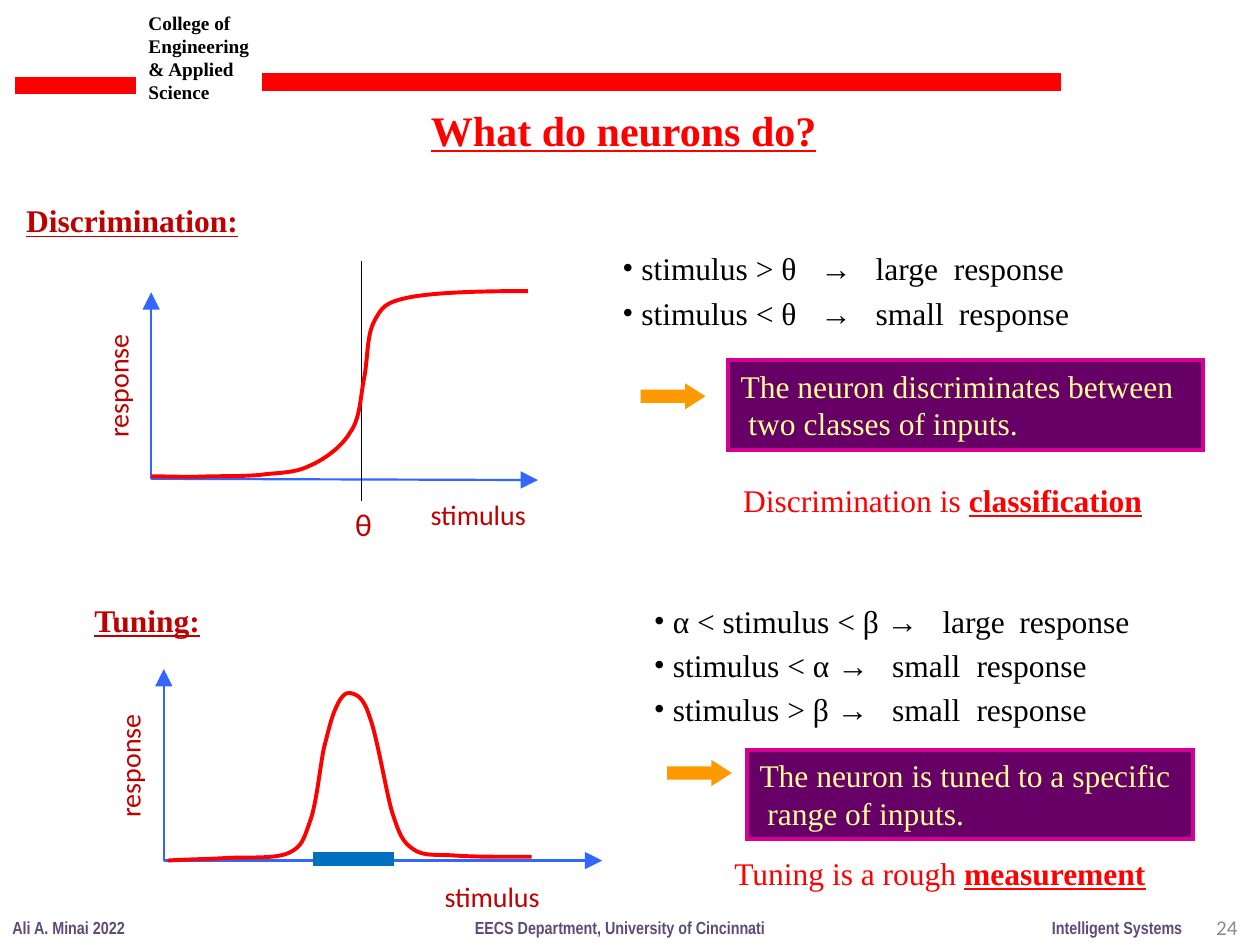
"""Build the slide that explains what neurons do: discrimination and tuning."""
from lxml.etree import SubElement
from pptx import Presentation
from pptx.dml.color import RGBColor
from pptx.enum.shapes import MSO_CONNECTOR, MSO_SHAPE
from pptx.enum.text import MSO_ANCHOR, MSO_AUTO_SIZE, PP_ALIGN
from pptx.oxml.ns import qn
from pptx.util import Inches, Pt

RED = RGBColor(0xFF, 0x00, 0x00)
DARK_RED = RGBColor(0xC0, 0x00, 0x00)
BLACK = RGBColor(0x00, 0x00, 0x00)
VIOLET = RGBColor(0x60, 0x4A, 0x7B)
GRAY = RGBColor(0x8C, 0x8C, 0x8C)
AXIS_BLUE = RGBColor(0x33, 0x66, 0xFF)
NAVY = RGBColor(0x00, 0x00, 0x36)
BAND_BLUE = RGBColor(0x00, 0x70, 0xC0)
PURPLE = RGBColor(0x66, 0x00, 0x66)
MAGENTA = RGBColor(0xD6, 0x00, 0x93)
PALE_YELLOW = RGBColor(0xFF, 0xFF, 0x99)
ORANGE = RGBColor(0xFF, 0x99, 0x00)
SERIF, SANS, NARROW = "Times New Roman", "Calibri", "Arial Narrow"


def write_text(shape, lines, size, font, color, strong=(), wrap=False):
    """Fill a shape with paragraphs of runs; runs whose text is in strong are bold."""
    frame = shape.text_frame
    frame.auto_size = MSO_AUTO_SIZE.NONE
    frame.word_wrap = wrap
    frame.vertical_anchor = MSO_ANCHOR.TOP
    for index, line in enumerate(lines):
        paragraph = frame.paragraphs[0] if index == 0 else frame.add_paragraph()
        paragraph.alignment = PP_ALIGN.LEFT
        for text in line:
            run = paragraph.add_run()
            run.text = text
            run.font.size = Pt(size)
            run.font.name = font
            run.font.color.rgb = color
            run.font.bold = text in strong
    return frame


def add_line(shapes, start, end, color, width, arrow=False):
    """Draw a straight line, with an arrowhead at its end if wanted."""
    points = [Inches(value) for value in (*start, *end)]
    connector = shapes.add_connector(MSO_CONNECTOR.STRAIGHT, *points)
    connector.line.color.rgb = color
    connector.line.width = Pt(width)
    if arrow:
        SubElement(connector.line._get_or_add_ln(), qn("a:tailEnd"),
                   type="triangle", w="lg", len="lg")
    SubElement(connector._element.spPr, qn("a:effectLst"))


presentation = Presentation()
presentation.slide_width, presentation.slide_height = Inches(10), Inches(7.5)
slide = presentation.slides.add_slide(presentation.slide_layouts[3])
title, *lists = slide.placeholders

add_line(slide.shapes, (0.12, 0.68), (1.08, 0.68), RED, 10)
add_line(slide.shapes, (2.08, 0.65), (8.42, 0.65), RED, 10)

title.left, title.top = Inches(3.32), Inches(0.78)
title.width, title.height = Inches(3.29), Inches(0.5)
heading = "What do neurons do?"
frame = write_text(title, [[heading]], 24, SERIF, RED, [heading])
frame.paragraphs[0].runs[0].font.underline = True

labels = [
    ((1.08, 0.04, 1.09, 0.84), ["College of Engineering & Applied", "Science"],
     11, SERIF, BLACK, True),
    ((0, 7.23, 1.1, 0.27), ["Ali A. Minai 2022"], 10, NARROW, VIOLET, False),
    ((8.25, 7.23, 1.24, 0.27), ["Intelligent Systems"], 10, NARROW, VIOLET, False),
    ((3.67, 7.23, 2.52, 0.27), ["EECS Department, University of Cincinnati"],
     10, NARROW, VIOLET, False),
]
for box, texts, size, font, color, wrap in labels:
    label = slide.shapes.add_textbox(*map(Inches, box))
    write_text(label, [[text] for text in texts], size, font, color, texts, wrap)

number = slide.shapes.add_textbox(Inches(7.59), Inches(7.16), Inches(2.33), Inches(0.4))
frame = write_text(number, [["24"]], 12, SANS, GRAY)
frame.vertical_anchor = MSO_ANCHOR.MIDDLE
frame.paragraphs[0].alignment = PP_ALIGN.RIGHT

headings = [
    ((0.11, 1.55, 1.88, 0.4), ["Discrimination:"]),
    ((0.65, 4.72, 1.06, 0.4), ["Tuning:"]),
]
conclusions = [
    ((5.8, 3.77, 3.37, 0.4), ["Discrimination is ", "classification"]),
    ((5.73, 6.73, 3.48, 0.4), ["Tuning is a rough ", "measurement"]),
]
for group, color in ((headings, DARK_RED), (conclusions, RED)):
    for box, runs in group:
        statement = slide.shapes.add_textbox(*map(Inches, box))
        frame = write_text(statement, [runs], 18, SERIF, color, runs[-1:])
        frame.paragraphs[0].runs[-1].font.underline = True

bullets = [
    ((4.84, 1.93, 3.76, 0.76), [
        (" stimulus > θ\t→\tlarge\tresponse", (1.57, 2.01, 2.63)),
        (" stimulus < θ\t→\tsmall\tresponse", (1.57, 2.01, 2.67)),
    ]),
    ((5.09, 4.73, 4.02, 1.12), [
        (" α < stimulus < β →\tlarge\tresponse", (2.29, 2.9)),
        (" stimulus < α →\tsmall\tresponse", (1.89, 2.56)),
        (" stimulus > β →\tsmall\tresponse", (1.89, 2.56)),
    ]),
]
for placeholder, (box, items) in zip(lists, bullets):
    placeholder.left, placeholder.top, placeholder.width, placeholder.height = map(Inches, box)
    frame = write_text(placeholder, [[text] for text, stops in items],
                       18, SERIF, BLACK, wrap=True)
    for index, (paragraph, (text, stops)) in enumerate(zip(frame.paragraphs, items)):
        properties = paragraph._p.get_or_add_pPr()
        properties.set("marL", "0")
        properties.set("indent", "0")
        SubElement(properties, qn("a:buFont"), typeface=SERIF)
        SubElement(properties, qn("a:buChar"), char="•")
        tabs = SubElement(properties, qn("a:tabLst"))
        for stop in stops:
            SubElement(tabs, qn("a:tab"), pos=str(Inches(stop)), algn="l")
        paragraph.space_before = Pt(3.6 if index else 0)

threshold_curve = [
    (1.2, 3.78), (1.28, 3.78), (1.52, 3.79), (1.67, 3.78), (1.81, 3.78), (1.93, 3.78),
    (2.06, 3.77), (2.19, 3.75), (2.33, 3.76), (2.45, 3.7), (2.57, 3.65), (2.71, 3.55),
    (2.78, 3.43), (2.86, 3.32), (2.86, 3.15), (2.89, 3), (2.92, 2.85), (2.91, 2.66),
    (2.97, 2.55), (3.03, 2.44), (3.05, 2.4), (3.25, 2.36), (3.46, 2.32), (3.82, 2.31),
    (4.19, 2.31),
]
tuning_curve = [
    (1.33, 6.83), (1.48, 6.82), (1.63, 6.82), (1.79, 6.81), (1.95, 6.8), (2.18, 6.82),
    (2.29, 6.77), (2.4, 6.72), (2.41, 6.66), (2.46, 6.52), (2.51, 6.39), (2.54, 6.09),
    (2.57, 5.94), (2.61, 5.79), (2.63, 5.69), (2.67, 5.61), (2.7, 5.54), (2.74, 5.49),
    (2.78, 5.5), (2.82, 5.51), (2.88, 5.52), (2.93, 5.68), (2.99, 5.83), (3.06, 6.26),
    (3.11, 6.44), (3.17, 6.62), (3.19, 6.68), (3.28, 6.74), (3.36, 6.8), (3.48, 6.78),
    (3.61, 6.79), (3.74, 6.8), (3.93, 6.8), (4.03, 6.8), (4.14, 6.8), (4.18, 6.8),
    (4.22, 6.8),
]
graphs = [
    ([((1.2, 3.8), (1.2, 2.32), AXIS_BLUE, 1.25, True),
      ((1.2, 3.8), (4.27, 3.81), AXIS_BLUE, 1.25, True),
      ((2.87, 2.07), (2.87, 3.98), NAVY, 1, False)],
     threshold_curve,
     [("response", (0.52, 2.97, 0.83, 0.37), 16, -90),
      ("stimulus", (3.32, 3.9, 0.96, 0.29), 16, 0),
      ("θ", (2.72, 3.96, 0.33, 0.32), 18, 0)]),
    ([((1.3, 6.83), (1.3, 5.31), AXIS_BLUE, 1.25, True),
      ((1.3, 6.83), (4.78, 6.83), AXIS_BLUE, 1.25, True)],
     tuning_curve,
     [("response", (0.61, 5.98, 0.84, 0.37), 16, -90),
      ("stimulus", (3.43, 6.93, 0.96, 0.3), 16, 0)]),
]
for lines, knots, captions in graphs:
    graph = slide.shapes.add_group_shape()
    for line in lines:
        add_line(graph.shapes, *line)
    points = [tuple(map(Inches, knot)) for knot in knots]
    builder = graph.shapes.build_freeform(*points[0])
    builder.add_line_segments(points[1:], close=False)
    curve = builder.convert_to_shape()
    segments = list(curve._element.iter(qn("a:lnTo")))
    outline = segments[0].getparent()
    for first in range(0, len(segments), 3):
        bend = SubElement(outline, qn("a:cubicBezTo"))
        for segment in segments[first:first + 3]:
            bend.append(segment[0])
            outline.remove(segment)
    curve.shadow.inherit = False
    curve.fill.background()
    curve.line.color.rgb = RED
    curve.line.width = Pt(2.25)
    for text, box, size, rotation in captions:
        caption = graph.shapes.add_textbox(*map(Inches, box))
        caption.rotation = rotation
        write_text(caption, [[text]], size, SANS, DARK_RED)

blocks = [
    (graph.shapes, MSO_SHAPE.RECTANGLE, (2.5, 6.78, 0.61, 0.08), BAND_BLUE, BAND_BLUE, []),
    (slide.shapes, MSO_SHAPE.RIGHT_ARROW, (5.1, 3.07, 0.47, 0.15), ORANGE, ORANGE, []),
    (slide.shapes, MSO_SHAPE.RIGHT_ARROW, (5.31, 6.06, 0.47, 0.15), ORANGE, ORANGE, []),
    (slide.shapes, MSO_SHAPE.RECTANGLE, (5.78, 2.86, 3.77, 0.71), PURPLE, MAGENTA,
     [["The neuron discriminates between"], [" two classes of inputs."]]),
    (slide.shapes, MSO_SHAPE.RECTANGLE, (5.93, 5.95, 3.54, 0.71), PURPLE, MAGENTA,
     [["The neuron is tuned to a specific"], [" range of inputs."]]),
]
for shapes, kind, box, fill, border, lines in blocks:
    shape = shapes.add_shape(kind, *map(Inches, box))
    shape.shadow.inherit = False
    shape.fill.solid()
    shape.fill.fore_color.rgb = fill
    shape.line.color.rgb = border
    shape.line.width = Pt(2.25)
    SubElement(shape.line._get_or_add_ln(), qn("a:miter"), lim="800000")
    if kind == MSO_SHAPE.RIGHT_ARROW:
        shape.adjustments[1] = 0.78
    write_text(shape, lines, 18, SERIF, PALE_YELLOW, wrap=True)

presentation.save("out.pptx")
